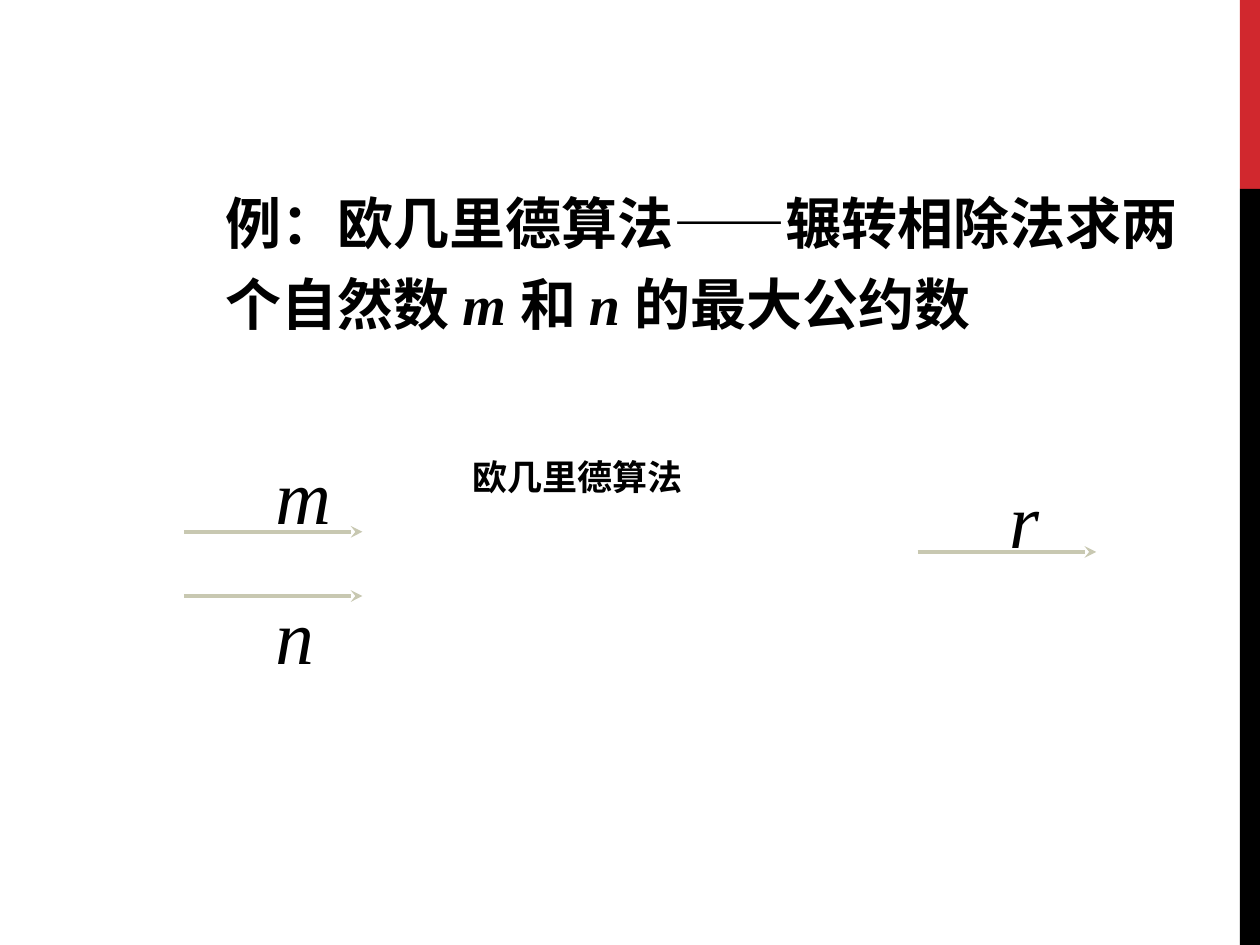
import dataclasses

import pptx
import pptx.dml.color
import pptx.enum.shapes
import pptx.enum.text
import pptx.oxml.ns
import pptx.util
from lxml import etree

Pt = pptx.util.Pt
SHAPES = pptx.enum.shapes.MSO_SHAPE


@dataclasses.dataclass(frozen=True)
class Theme:
    """Colours, fonts and type sizes of the slide."""
    red: str = "D1282E"
    black: str = "000000"
    white: str = "FFFFFF"
    arrow: str = "C8C8B1"
    body: str = "Arial"
    math: str = "Times New Roman"
    title_size: float = 32
    label_size: float = 20
    symbol_size: float = 44


THEME = Theme()


def rgb(value):
    """Return a colour from its hex value."""
    return pptx.dml.color.RGBColor.from_string(value)


def add_run(p, text, size, font=THEME.body, bold=False, italic=False):
    """Add a formatted run to a paragraph."""
    r = p.add_run()
    r.text = text
    r.font.size = Pt(size)
    r.font.name = font
    r.font.bold = bold
    r.font.italic = italic
    r.font.color.rgb = rgb(THEME.black)


def set_frame(sp, left=7.2, top=3.6):
    """Prepare a wrapped, top-left text frame and return its first paragraph."""
    tf = sp.text_frame
    tf.word_wrap = True
    tf.vertical_anchor = pptx.enum.text.MSO_ANCHOR.TOP
    tf.margin_left, tf.margin_top = Pt(left), Pt(top)
    p = tf.paragraphs[0]
    p.alignment = pptx.enum.text.PP_ALIGN.LEFT
    return p


def add_rect(slide, x, y, w, h, color):
    """Add a plain filled rectangle."""
    sp = slide.shapes.add_shape(SHAPES.RECTANGLE, Pt(x), Pt(y), Pt(w), Pt(h))
    sp.shadow.inherit = False
    sp.fill.solid()
    sp.fill.fore_color.rgb = rgb(color)
    sp.line.fill.background()
    return sp


def add_sidebar(slide, x, y, w, h):
    """Draw the edge band, its top fifth in red."""
    split = h / 5
    add_rect(slide, x, y, w, split, THEME.red)
    add_rect(slide, x, y + split, w, h - split, THEME.black)


def add_process(slide, x, y, w, h):
    """Draw the white box that names the algorithm."""
    sp = add_rect(slide, x, y, w, h, THEME.white)
    p = set_frame(sp, left=20.6, top=36.6)
    add_run(p, "欧几里德算法", THEME.label_size, bold=True)


def add_flow(slide, x, y, w, symbol, label_dy):
    """Draw an arrow with its symbol offset vertically from the line."""
    line = slide.shapes.add_connector(
        pptx.enum.shapes.MSO_CONNECTOR.STRAIGHT, Pt(x), Pt(y), Pt(x + w), Pt(y))
    line.line.color.rgb = rgb(THEME.arrow)
    line.line.width = Pt(2.25)
    qn = pptx.oxml.ns.qn
    etree.SubElement(line.line._get_or_add_ln(), qn("a:tailEnd"), type="stealth")
    etree.SubElement(line._element.spPr, qn("a:effectLst"))
    label_w, label_h = 56.9, 60.5
    sp = slide.shapes.add_textbox(
        Pt(x + w - label_w), Pt(y + label_dy), Pt(label_w), Pt(label_h))
    add_run(set_frame(sp, top=8.6), symbol, THEME.symbol_size, THEME.math, italic=True)


def add_title(slide, x, y, w, h):
    """Write the problem statement with its variables in italics."""
    p = set_frame(slide.shapes.add_textbox(Pt(x), Pt(y), Pt(w), Pt(h)))
    p.line_spacing = 1.2
    parts = ("例：欧几里德算法——辗转相除法求两个自然数 ", "m ", "和 ", "n ", "的最大公约数")
    for i, text in enumerate(parts):
        variable = i % 2 == 1
        font = THEME.math if variable else THEME.body
        add_run(p, text, THEME.title_size, font, bold=True, italic=variable)


def main():
    """Build and save the slide."""
    prs = pptx.Presentation()
    prs.slide_width, prs.slide_height = Pt(720), Pt(540)
    slide = prs.slides.add_slide(prs.slide_layouts[6])
    add_sidebar(slide, 708.5, 0, 11.5, 540)
    add_process(slide, 249.1, 223.9, 277.2, 147.6)
    add_flow(slide, 105.1, 303.9, 102, "m", -57)
    add_flow(slide, 105.1, 340.6, 102, "n", -13.7)
    add_flow(slide, 524.4, 315.4, 102, "r", -54.7)
    add_title(slide, 121.7, 96.5, 572.4, 99.4)
    prs.save("out.pptx")


if __name__ == "__main__":
    main()
